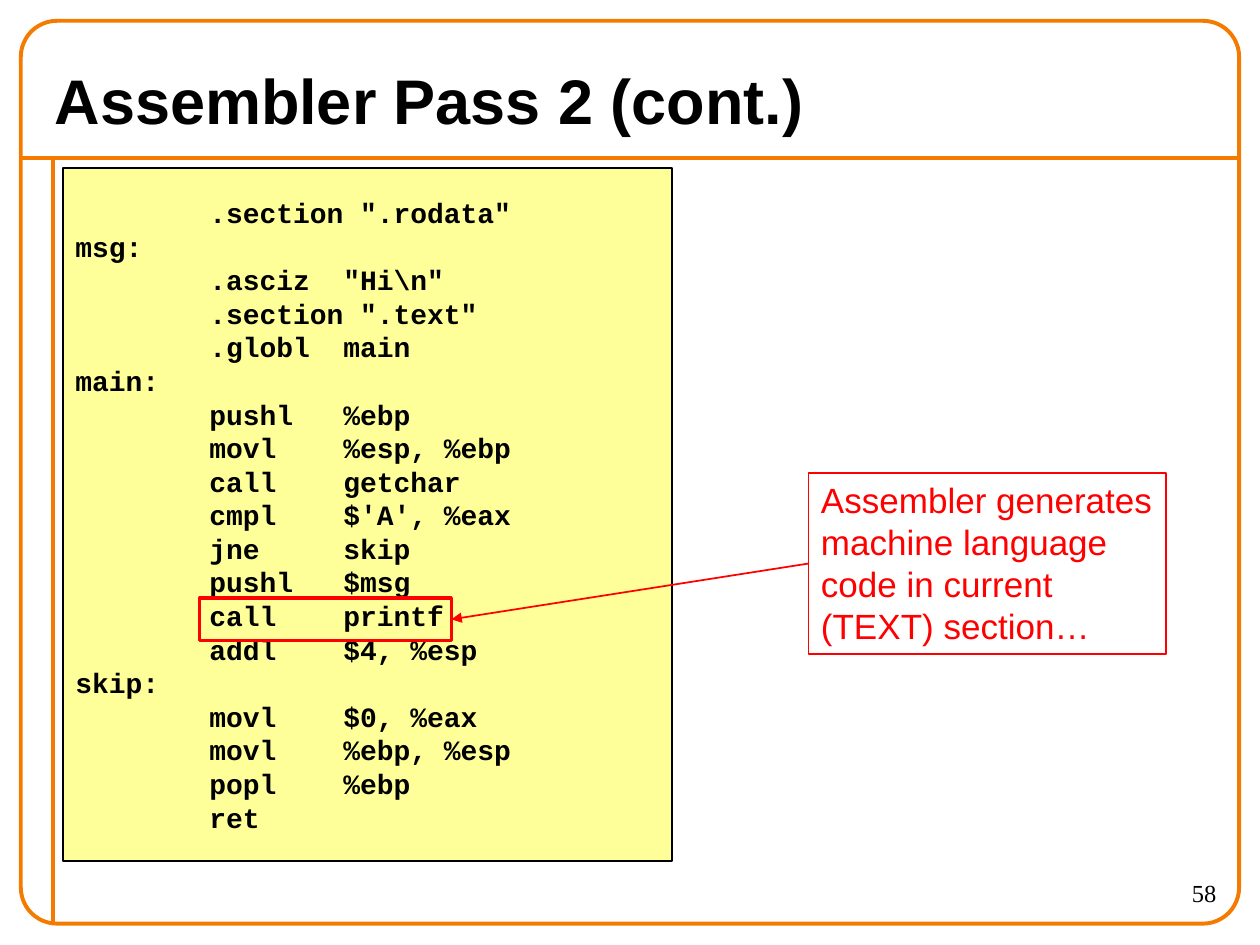
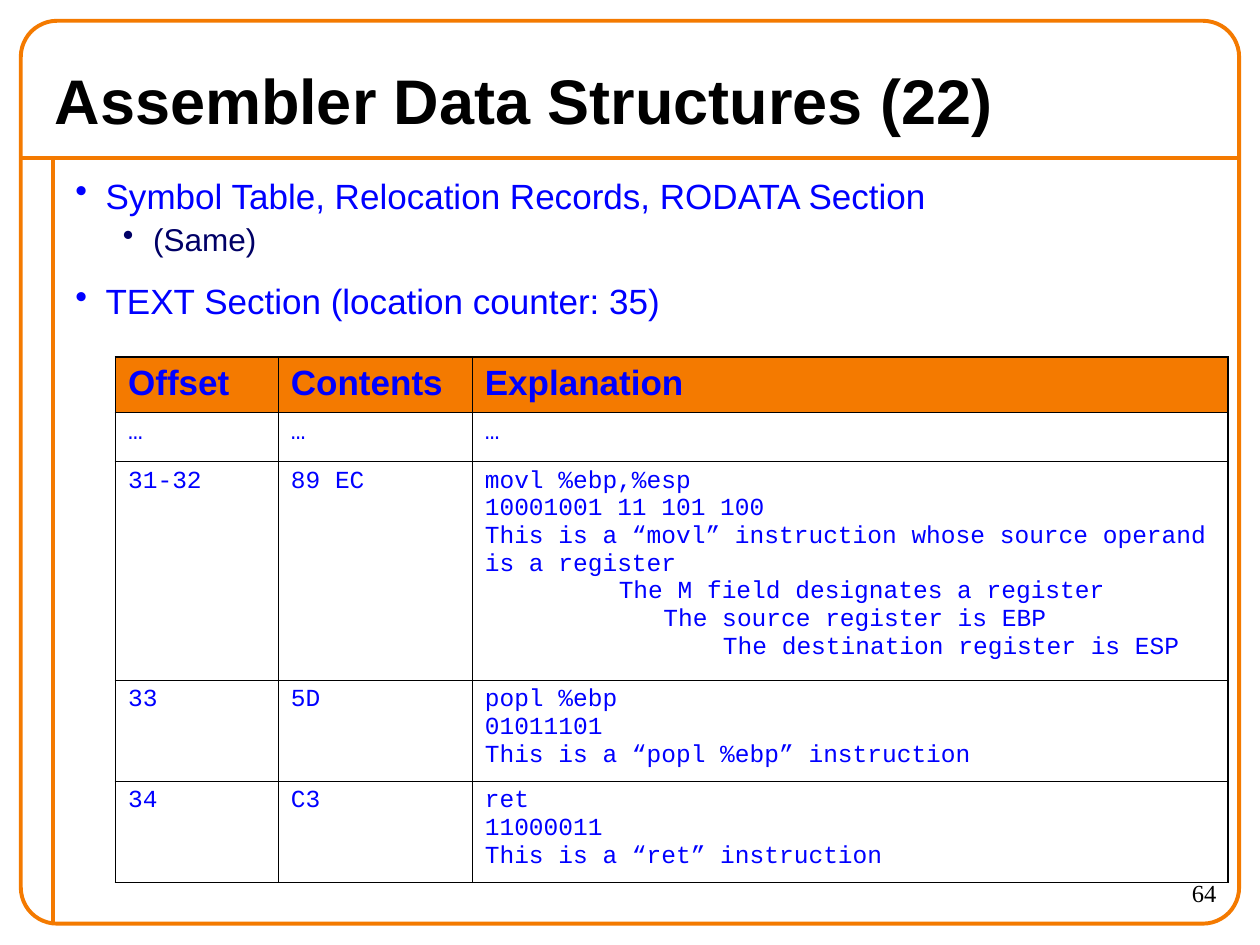
from dataclasses import dataclass

from lxml.etree import SubElement
from pptx import Presentation
from pptx.dml.color import RGBColor
from pptx.enum.shapes import MSO_CONNECTOR, MSO_SHAPE
from pptx.enum.text import MSO_ANCHOR, PP_ALIGN
from pptx.oxml import parse_xml
from pptx.oxml.ns import nsdecls, qn
from pptx.util import Cm, Pt

ORANGE, BLUE, NAVY = "F47A00", "0000FF", "000066"
RED, BLACK, YELLOW = "FF0000", "000000", "FFFF99"
SANS, MONO, SERIF = "Arial", "Courier New", "Times New Roman"
MONO_CHAR = 0.3

CODE = r'''
        .section ".rodata"
msg:
        .asciz  "Hi\n"
        .section ".text"
        .globl  main
main:
        pushl   %ebp
        movl    %esp, %ebp
        call    getchar
        cmpl    $'A', %eax
        jne     skip
        pushl   $msg
        call    printf
        addl    $4, %esp
skip:
        movl    $0, %eax
        movl    %ebp, %esp
        popl    %ebp
        ret
'''.strip("\n").split("\n")


@dataclass
class Box:
    left: float
    top: float
    width: float
    height: float

    def emu(self) -> tuple:
        return Cm(self.left), Cm(self.top), Cm(self.width), Cm(self.height)


@dataclass
class Bullet:
    text: str
    level: int
    margin: float
    size: float
    color: str
    before: float


@dataclass
class Note:
    text: str
    chars: int = 0


BULLETS = [
    Bullet("Symbol Table, Relocation Records, RODATA Section", 0, 0.61, 20, BLUE, 0),
    Bullet("(Same)", 1, 1.57, 18, NAVY, 2.2),
    Bullet("TEXT Section (location counter: 35)", 0, 0.61, 20, BLUE, 12.5),
]

COL_WIDTHS = [3.28, 3.91, 15.24]
ROW_HEIGHTS = [1.12, 0.98, 4.41, 2.04, 2.04]
ROWS = [
    [[Note("Offset")], [Note("Contents")], [Note("Explanation")]],
    [[Note("…")], [Note("…")], [Note("…")]],
    [[Note("31-32")], [Note("89 EC")], [
        Note("movl %ebp,%esp"),
        Note("10001001 11 101 100"),
        Note("This is a “movl” instruction whose source operand is a register"),
        Note("The M field designates a register", 9),
        Note("The source register is EBP", 12),
        Note("The destination register is ESP", 16)]],
    [[Note("33")], [Note("5D")], [
        Note("popl %ebp"), Note("01011101"),
        Note("This is a “popl %ebp” instruction")]],
    [[Note("34")], [Note("C3")], [
        Note("ret"), Note("11000011"), Note("This is a “ret” instruction")]],
]


def rgb(value: str) -> RGBColor:
    return RGBColor.from_string(value)


def write(tf, text: str, *, size: float, font: str = SANS, color: str = BLACK,
          bold: bool = False, align=PP_ALIGN.LEFT, before: float = 0,
          level: int = 0, margin: float = 0, indent: float = 0,
          bullet: str = "") -> None:
    p = tf.add_paragraph() if tf.text else tf.paragraphs[0]
    pPr = p._p.get_or_add_pPr()
    pPr.set("marL", str(Cm(margin)))
    pPr.set("indent", str(Cm(indent)))
    if bullet:
        SubElement(SubElement(pPr, qn("a:buClr")), qn("a:srgbClr")).set("val", color)
        SubElement(pPr, qn("a:buChar")).set("char", bullet)
    p.level, p.alignment, p.space_before = level, align, Pt(before)
    r = p.add_run()
    r.text = text
    r.font.name, r.font.size, r.font.bold = font, Pt(size), bold
    r.font.color.rgb = rgb(color)


def add_text(s, box: Box, anchor=MSO_ANCHOR.TOP):
    tf = s.shapes.add_textbox(*box.emu()).text_frame
    tf.word_wrap, tf.vertical_anchor = True, anchor
    return tf


def add_box(s, box: Box, *, line: str, width: float, fill: str = "",
            kind=MSO_SHAPE.RECTANGLE):
    sp = s.shapes.add_shape(kind, *box.emu())
    sp.shadow.inherit = False
    if fill:
        sp.fill.solid()
        sp.fill.fore_color.rgb = rgb(fill)
    else:
        sp.fill.background()
    sp.line.color.rgb, sp.line.width = rgb(line), Pt(width)
    return sp


def add_line(s, x1: float, y1: float, x2: float, y2: float, *,
             color: str, width: float):
    c = s.shapes.add_connector(MSO_CONNECTOR.STRAIGHT, Cm(x1), Cm(y1), Cm(x2), Cm(y2))
    c.line.color.rgb, c.line.width = rgb(color), Pt(width)
    SubElement(c._element.spPr, qn("a:effectLst"))
    return c


def add_arrow(s, start, start_site: int, end, end_site: int) -> None:
    c = add_line(s, 0, 0, 1, 1, color=RED, width=1)
    c.begin_connect(start, start_site)
    c.end_connect(end, end_site)
    SubElement(c.line._get_or_add_ln(), qn("a:tailEnd")).set("type", "triangle")


def new_slide(prs, title: str, number: int):
    s = prs.slides.add_slide(prs.slide_layouts[6])
    add_line(s, 0.43, 3.18, 24.97, 3.18, color=ORANGE, width=2.25)
    add_line(s, 1.06, 3.18, 1.06, 18.62, color=ORANGE, width=2.25)
    frame = add_box(s, Box(0.42, 0.42, 24.56, 18.2), line=ORANGE, width=2.25,
                    kind=MSO_SHAPE.ROUNDED_RECTANGLE)
    frame.adjustments[0] = 0.04
    write(add_text(s, Box(22.23, 17.57, 2.54, 1.06)), str(number),
          size=14, font=SERIF, align=PP_ALIGN.RIGHT)
    write(add_text(s, Box(0.85, 1.06, 23.7, 1.9), MSO_ANCHOR.MIDDLE), title,
          size=36, bold=True)
    return s


def set_borders(cell, first_row: bool, last_row: bool,
                first_col: bool, last_col: bool) -> None:
    tcPr = cell._tc.get_or_add_tcPr()
    outer = {"L": first_col, "R": last_col, "T": first_row, "B": last_row}
    for i, (side, thick) in enumerate(outer.items()):
        tcPr.insert(i, parse_xml(
            f'<a:ln{side} {nsdecls("a")} w="{Pt(1.08 if thick else 0.45)}">'
            f'<a:solidFill><a:srgbClr val="{BLACK}"/></a:solidFill></a:ln{side}>'))


def add_offsets_table(s) -> None:
    box = Box(2.33, 7.2, sum(COL_WIDTHS), sum(ROW_HEIGHTS))
    table = s.shapes.add_table(len(ROWS), len(COL_WIDTHS), *box.emu()).table
    table.first_row = table.horz_banding = False
    for column, width in zip(table.columns, COL_WIDTHS):
        column.width = Cm(width)
    for i, (row, height) in enumerate(zip(ROWS, ROW_HEIGHTS)):
        table.rows[i].height = Cm(height)
        header = i == 0
        style = dict(size=20, bold=True) if header else dict(size=14, font=MONO)
        for j, notes in enumerate(row):
            cell = table.cell(i, j)
            if header:
                cell.fill.solid()
                cell.fill.fore_color.rgb = rgb(ORANGE)
            else:
                cell.fill.background()
            set_borders(cell, header, i == len(ROWS) - 1, j == 0, j == len(row) - 1)
            for note in notes:
                write(cell.text_frame, note.text, color=BLUE,
                      margin=note.chars * MONO_CHAR, **style)


def build_pass_slide(prs) -> None:
    s = new_slide(prs, "Assembler Pass 2 (cont.)", 58)
    listing = add_box(s, Box(1.27, 3.39, 12.28, 13.97), line=BLACK, width=1, fill=YELLOW)
    tf = listing.text_frame
    tf.word_wrap, tf.vertical_anchor = True, MSO_ANCHOR.MIDDLE
    for text in CODE:
        write(tf, text, size=16, font=MONO, bold=True)
    highlight = add_box(s, Box(4.02, 12.06, 5.08, 0.85), line=RED, width=2)
    callout = add_box(s, Box(16.3, 9.53, 7.2, 3.66), line=RED, width=1)
    tf = callout.text_frame
    tf.word_wrap, tf.vertical_anchor = False, MSO_ANCHOR.TOP
    for text in ("Assembler generates", "machine language",
                 "code in current", "(TEXT) section…"):
        write(tf, text, size=20, color=RED)
    add_arrow(s, callout, 1, highlight, 3)


def build_data_slide(prs) -> None:
    s = new_slide(prs, "Assembler Data Structures (22)", 64)
    tf = add_text(s, Box(1.27, 3.39, 23.28, 15.24))
    for b in BULLETS:
        write(tf, b.text, size=b.size, color=b.color, before=b.before,
              level=b.level, margin=b.margin, indent=-0.61, bullet="•")
    add_offsets_table(s)


def main() -> None:
    prs = Presentation()
    prs.slide_width, prs.slide_height = Cm(25.4), Cm(19.05)
    build_pass_slide(prs)
    build_data_slide(prs)
    prs.save("out.pptx")


if __name__ == "__main__":
    main()
